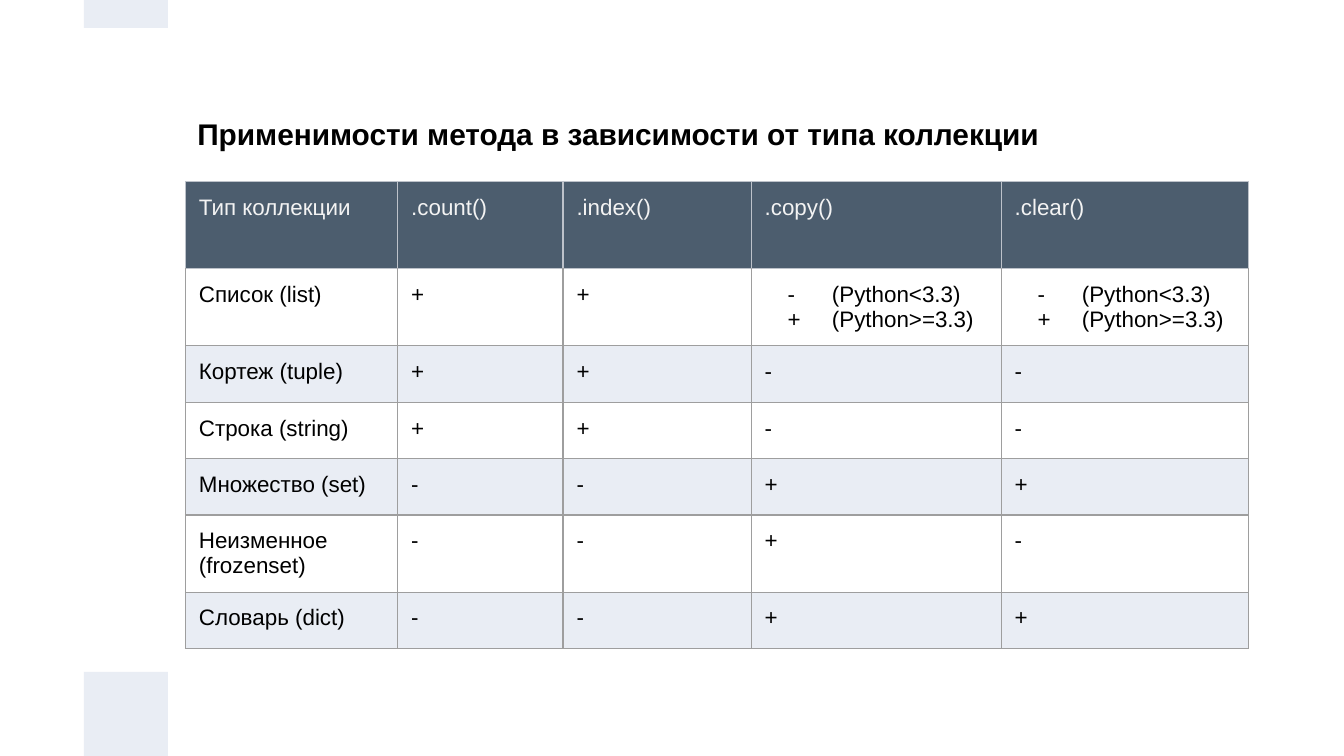
from lxml.etree import SubElement
from pptx import Presentation
from pptx.dml.color import RGBColor
from pptx.enum.shapes import MSO_SHAPE
from pptx.oxml.ns import qn
from pptx.util import Inches, Pt

TITLE = "Применимости метода в зависимости от типа коллекции"
VERSIONS = [("-", "(Python<3.3)"), ("+", "(Python>=3.3)")]
ROWS = [
    ("Тип коллекции", ".count()", ".index()", ".copy()", ".clear()"),
    ("Список (list)", "+", "+", VERSIONS, VERSIONS),
    ("Кортеж (tuple)", "+", "+", "-", "-"),
    ("Строка (string)", "+", "+", "-", "-"),
    ("Множество (set)", "-", "-", "+", "+"),
    ("Неизменное (frozenset)", "-", "-", "+", "-"),
    ("Словарь (dict)", "-", "-", "+", "+"),
]
COLUMN_WIDTHS = [1.58, 1.23, 1.4, 1.86, 1.84]
HEADER_HEIGHT, ROW_HEIGHT = 0.65, 0.42
SLIDE_WIDTH = Inches(10)
SLIDE_HEIGHT = SLIDE_WIDTH * 9 // 16
BAR_SIZE = SLIDE_WIDTH // 16
ACCENT_BARS = [(SLIDE_HEIGHT - BAR_SIZE, BAR_SIZE), (0, BAR_SIZE // 3)]
FONT = "Arial"
MARGIN = Inches(0.1)
BLACK, PALE, SLATE, LIGHT = "000000", "E9EDF4", "4C5D6E", "F3F3F3"
HEADER_LINE, BODY_LINE = "BDC2CA", "9E9E9E"


def rgb(value):
    return RGBColor.from_string(value)


def add_run(paragraph, text, size, color, bold=False):
    run = paragraph.add_run()
    run.text = text
    run.font.name = FONT
    run.font.size = Pt(size)
    run.font.bold = bold
    run.font.color.rgb = rgb(color)


def set_margins(holder):
    holder.margin_left = holder.margin_right = MARGIN
    holder.margin_top = holder.margin_bottom = MARGIN


def add_color(parent, color):
    SubElement(parent, qn("a:srgbClr"), val=color)


def add_bullet(paragraph, character):
    properties = paragraph._p.get_or_add_pPr()
    properties.set("marL", str(Inches(0.5)))
    properties.set("indent", str(Inches(-0.33)))
    add_color(SubElement(properties, qn("a:buClr")), BLACK)
    SubElement(properties, qn("a:buFont"), typeface=FONT)
    SubElement(properties, qn("a:buChar"), char=character)


def set_borders(cell, color, top_color):
    properties = cell._tc.get_or_add_tcPr()
    for side in "LRTB":
        line = SubElement(properties, qn(f"a:ln{side}"), w=str(Pt(0.75)))
        fill = SubElement(line, qn("a:solidFill"))
        add_color(fill, top_color if side == "T" else color)


def fill_cell(cell, content, row):
    set_margins(cell)
    line_color = BODY_LINE if row else HEADER_LINE
    set_borders(cell, line_color, HEADER_LINE if row < 2 else BODY_LINE)
    if row % 2:
        cell.fill.background()
    else:
        cell.fill.solid()
        cell.fill.fore_color.rgb = rgb(PALE if row else SLATE)
    lines = [(None, content)] if isinstance(content, str) else content
    frame = cell.text_frame
    for index, (bullet, text) in enumerate(lines):
        paragraph = frame.add_paragraph() if index else frame.paragraphs[0]
        if bullet:
            add_bullet(paragraph, bullet)
        add_run(paragraph, text, 12, BLACK if row else LIGHT)


presentation = Presentation()
presentation.slide_width = SLIDE_WIDTH
presentation.slide_height = SLIDE_HEIGHT
slide = presentation.slides.add_slide(presentation.slide_layouts[6])

for top, height in ACCENT_BARS:
    bar = slide.shapes.add_shape(
        MSO_SHAPE.RECTANGLE, BAR_SIZE, top, BAR_SIZE, height)
    bar.shadow.inherit = False
    bar.fill.solid()
    bar.fill.fore_color.rgb = rgb(PALE)
    bar.line.fill.background()

row_heights = [HEADER_HEIGHT] + [ROW_HEIGHT] * (len(ROWS) - 1)
table = slide.shapes.add_table(
    len(ROWS), len(COLUMN_WIDTHS), Inches(1.38), Inches(1.35),
    Inches(sum(COLUMN_WIDTHS)), Inches(sum(row_heights))).table
table.first_row = table.horz_banding = False
for column, width in zip(table.columns, COLUMN_WIDTHS):
    column.width = Inches(width)
for row, (height, contents) in enumerate(zip(row_heights, ROWS)):
    table.rows[row].height = Inches(height)
    for column, content in enumerate(contents):
        fill_cell(table.cell(row, column), content, row)

title = slide.shapes.add_textbox(Inches(1.37), Inches(0.76), Inches(7.82), Inches(0.46))
title.text_frame.word_wrap = True
set_margins(title.text_frame)
add_run(title.text_frame.paragraphs[0], TITLE, 16, BLACK, bold=True)

presentation.save("out.pptx")
